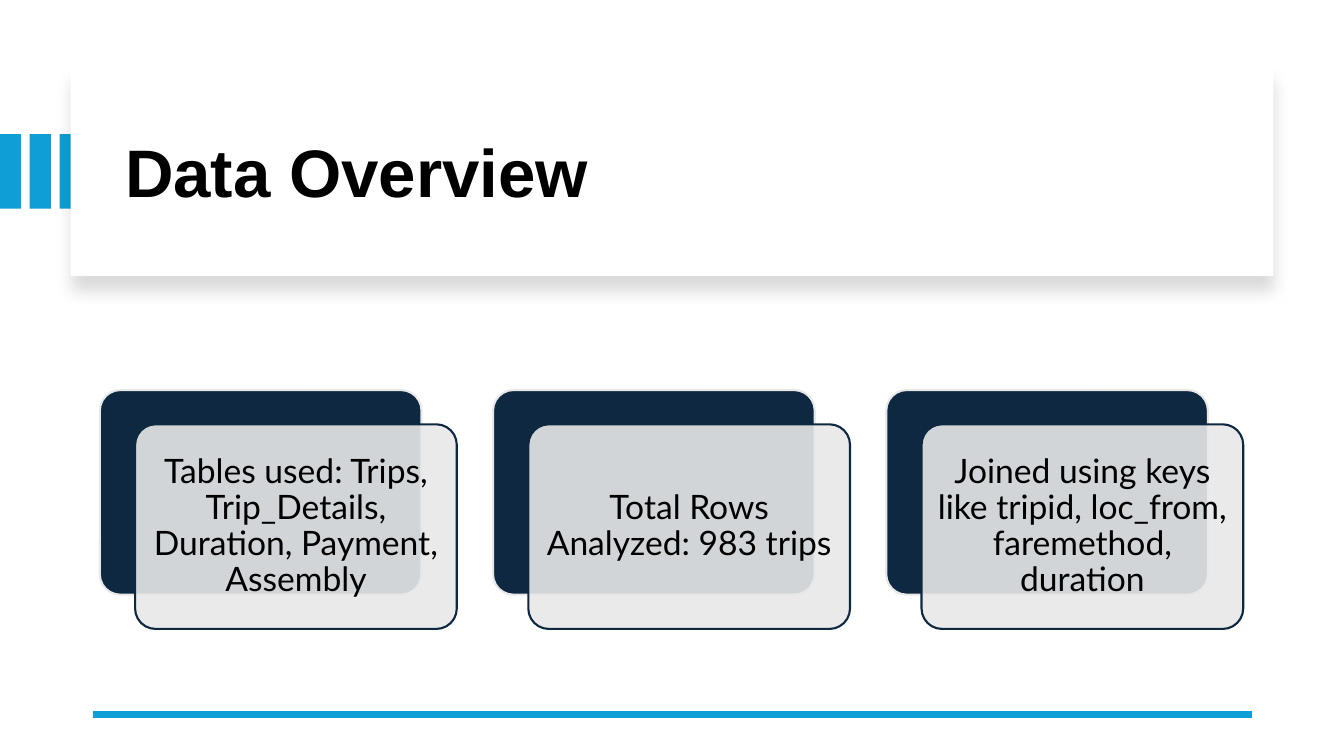
import dataclasses

import lxml.etree
import pptx
import pptx.dml.color
import pptx.enum.shapes
import pptx.enum.text
import pptx.oxml
import pptx.oxml.ns
import pptx.util

Inches = pptx.util.Inches
Pt = pptx.util.Pt
Kind = pptx.enum.shapes.MSO_SHAPE
Align = pptx.enum.text.PP_ALIGN
qn = pptx.oxml.ns.qn


@dataclasses.dataclass(frozen=True)
class Theme:
    blue: str = "0F9ED5"
    navy: str = "0E2841"
    grey: str = "E8E8E8"
    white: str = "FFFFFF"
    black: str = "000000"
    head: str = "Arial"
    body: str = "Lato"
    big: int = 48
    small: int = 24
    edge: float = 1.5
    rule: float = 4.5


THEME = Theme()
CARDS = (
    "Tables used: Trips, Trip_Details, Duration, Payment, Assembly",
    "Total Rows Analyzed: 983 trips",
    "Joined using keys like tripid, loc_from, faremethod, duration",
)


def tint(code):
    return pptx.dml.color.RGBColor.from_string(code)


def add_box(slide, kind, area, fill, line=None):
    box = slide.shapes.add_shape(kind, *map(Inches, area))
    box.shadow.inherit = False
    box.fill.solid()
    box.fill.fore_color.rgb = tint(fill)
    if line:
        box.line.color.rgb = tint(line)
        box.line.width = Pt(THEME.edge)
    else:
        box.line.fill.background()
    return box


def set_alpha(color, share):
    lxml.etree.SubElement(color, qn("a:alpha"), val=str(share * 1000))


def add_glow(box):
    effects = box.element.spPr.find(qn("a:effectLst"))
    shade = lxml.etree.SubElement(
        effects, qn("a:outerShdw"), blurRad=str(Pt(11)), dist=str(Pt(10)),
        dir="5400000", algn="t", rotWithShape="0")
    color = lxml.etree.SubElement(shade, qn("a:srgbClr"), val=THEME.black)
    set_alpha(color, 15)


def set_text(shape, text, font, size, align, bold=False):
    frame = shape.text_frame
    frame.text = text
    frame.word_wrap = True
    frame.auto_size = pptx.enum.text.MSO_AUTO_SIZE.NONE
    frame.vertical_anchor = pptx.enum.text.MSO_ANCHOR.MIDDLE
    par = frame.paragraphs[0]
    par.alignment = align
    par.line_spacing = 0.9
    style = par.runs[0].font
    style.name = font
    style.size = Pt(size)
    style.bold = bold
    style.color.rgb = tint(THEME.black)


def add_title(slide, text):
    title = slide.shapes.title
    title.left, title.top = Inches(1.14), Inches(0.89)
    title.width, title.height = Inches(11.13), Inches(1.7)
    set_text(title, text, THEME.head, THEME.big, Align.LEFT, True)
    par = title.text_frame.paragraphs[0]
    par.space_before = par.space_after = Pt(12)
    title.element.getparent().append(title.element)


def add_card(slide, left, text):
    top, width, height = 3.87, 3.19, 2.03
    back = add_box(slide, Kind.ROUNDED_RECTANGLE,
                   (left, top, width, height), THEME.navy, THEME.grey)
    front = add_box(slide, Kind.ROUNDED_RECTANGLE,
                    (left + 0.35, top + 0.34, width, height),
                    THEME.grey, THEME.navy)
    for box in (back, front):
        box.adjustments[0] = 0.1
    set_alpha(front.element.spPr.find(qn("a:solidFill"))[0], 90)
    set_text(front, text, THEME.body, THEME.small, Align.CENTER)
    frame = front.text_frame
    frame.margin_left = frame.margin_right = Inches(0.1)
    frame.margin_top = frame.margin_bottom = Inches(0.1)


def add_rule(slide):
    rule = slide.shapes.add_connector(
        pptx.enum.shapes.MSO_CONNECTOR.STRAIGHT,
        Inches(12.42), Inches(7.09), Inches(0.92), Inches(7.09))
    rule.line.color.rgb = tint(THEME.blue)
    rule.line.width = Pt(THEME.rule)
    lxml.etree.SubElement(rule.element.spPr, qn("a:effectLst"))


def main():
    deck = pptx.Presentation()
    deck.slide_width, deck.slide_height = Inches(13.33), Inches(7.5)
    slide = deck.slides.add_slide(deck.slide_layouts[5])
    for index in range(3):
        add_box(slide, Kind.RECTANGLE,
                (index * 0.295, 1.33, 0.21, 0.74), THEME.blue)
    panel = add_box(slide, Kind.RECTANGLE,
                    (0.7, 0.67, 11.93, 2.07), THEME.white)
    add_glow(panel)
    add_title(slide, "Data Overview")
    add_rule(slide)
    for index, text in enumerate(CARDS):
        add_card(slide, 0.99 + index * 3.9, text)
    deck.save("out.pptx")


if __name__ == "__main__":
    main()
